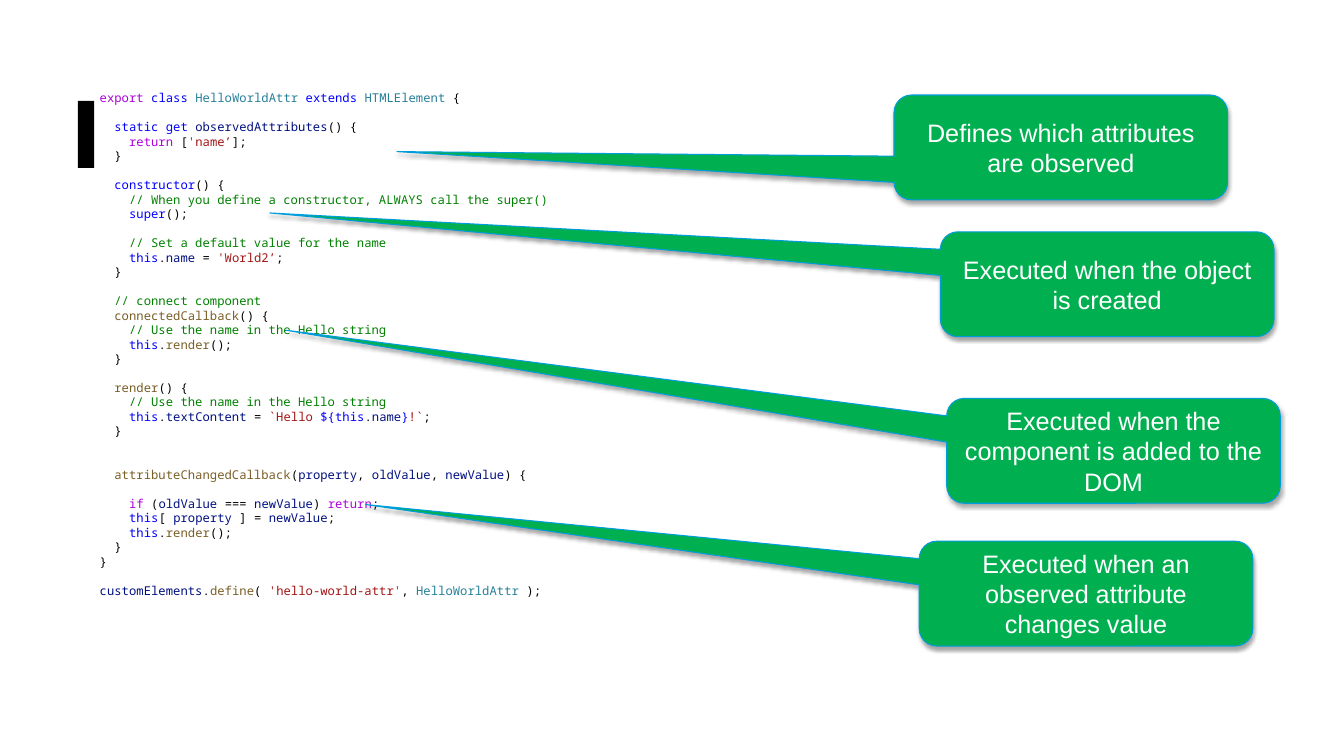
"""Builds a slide that annotates a custom element's code with four callouts."""
from lxml.etree import SubElement
from pptx import Presentation
from pptx.dml.color import RGBColor
from pptx.enum.shapes import MSO_SHAPE
from pptx.enum.text import MSO_ANCHOR, MSO_AUTO_SIZE, PP_ALIGN
from pptx.oxml.ns import qn
from pptx.util import Pt

THEME = {
    "code_font": "Noto Sans Mono", "code_size": 8.7, "code_line": 10.36,
    "callout_font": "Arial", "callout_size": 18,
    "accent": "000000", "callout_fill": "00B050", "callout_line": "009DDC",
    "callout_text": "FFFFFF", "shadow": "000000",
    "syntax": {
        "K": "000000",
        "P": "AF00DB",
        "B": "0000FF",
        "T": "267F99",
        "V": "001080",
        "S": "A31515",
        "C": "008000",
        "F": "795E26",
    },
}

CODE = [
    (0, "Pexport ¦Bclass ¦THelloWorldAttr ¦Bextends ¦THTMLElement¦K {"),
    (1, "B  static get ¦VobservedAttributes¦K() {"),
    (0, "P    return¦K [¦S'name’¦K];"),
    (0, "K  }"),
    (1, "B  constructor¦K() {"),
    (0, "C    // When you define a constructor, ALWAYS call the super()"),
    (0, "B    super¦K();"),
    (1, "C    // Set a default value for the name"),
    (0, "B    this¦K.¦Vname¦K = ¦S'World2’¦K;"),
    (0, "K  }"),
    (1, "C  // connect component"),
    (0, "F  connectedCallback¦K() {"),
    (0, "C    // Use the name in the Hello string"),
    (0, "B    this¦K.¦Frender¦K();"),
    (0, "K  }"),
    (1, "F  render¦K() {"),
    (0, "C    // Use the name in the Hello string"),
    (0, "B    this¦K.¦VtextContent¦K = ¦S`Hello ¦B${this¦K.¦Vname¦B}¦S!`¦K;"),
    (0, "K  }"),
    (2, "F  attributeChangedCallback¦K(¦Vproperty¦K, ¦VoldValue¦K, ¦VnewValue¦K) {"),
    (1, "P    if¦K (¦VoldValue¦K === ¦VnewValue¦K) ¦Preturn¦K;"),
    (0, "B    this¦K[ ¦Vproperty¦K ] = ¦VnewValue¦K;"),
    (0, "B    this¦K.¦Frender¦K();"),
    (0, "K  }"),
    (0, "K}"),
    (1, "VcustomElements¦K.¦Fdefine¦K( ¦S'hello-world-attr'¦K, ¦THelloWorldAttr¦K );"),
]

CALLOUTS = [
    (638.6, 67.9, -1.99, 0.04, "Defines which attributes are observed"),
    (671.7, 165.6, -2.51, -0.68, "Executed when the object is created"),
    (676.2, 284.6, -2.48, -1.15, "Executed when the component is added to the DOM"),
    (656.6, 386.6, -2.16, -0.85, "Executed when an observed attribute changes value"),
]


def style(font, name, size, color):
    font.name = name
    font.size = Pt(size)
    font.color.rgb = RGBColor.from_string(color)


def add_soft_shadow(shape):
    shape.shadow.inherit = False
    effects = shape.element.spPr.find(qn("a:effectLst"))
    shadow = SubElement(effects, qn("a:outerShdw"), blurRad=str(Pt(3.1)),
                        dist=str(Pt(1.8)), dir="5400000", rotWithShape="0")
    color = SubElement(shadow, qn("a:srgbClr"), val=THEME["shadow"])
    SubElement(color, qn("a:alpha"), val="35000")


presentation = Presentation()
presentation.slide_width, presentation.slide_height = Pt(960), Pt(540)
slide = presentation.slides.add_slide(presentation.slide_layouts[1])
unused_title = slide.shapes.title.element
unused_title.getparent().remove(unused_title)

accent_bar = slide.shapes.add_shape(MSO_SHAPE.RECTANGLE, Pt(55.7), Pt(72), Pt(11.5), Pt(48))
accent_bar.shadow.inherit = False
accent_bar.fill.solid()
accent_bar.fill.fore_color.rgb = RGBColor.from_string(THEME["accent"])
accent_bar.line.fill.background()

listing = slide.placeholders[1]
listing.left, listing.top, listing.width, listing.height = Pt(64), Pt(61.2), Pt(794), Pt(402)
code_frame = listing.text_frame
code_frame.auto_size = MSO_AUTO_SIZE.NONE
code_frame.vertical_anchor = MSO_ANCHOR.TOP

for row, (blank_lines, tokens) in enumerate(CODE):
    code_line = code_frame.add_paragraph() if row else code_frame.paragraphs[0]
    code_line.line_spacing = Pt(THEME["code_line"])
    code_line.space_before = Pt(blank_lines * THEME["code_line"])
    code_line.space_after = Pt(0)
    properties = code_line._p.get_or_add_pPr()
    properties.set("marL", "0")
    properties.set("indent", "0")
    SubElement(properties, qn("a:buNone"))
    for token in tokens.split("¦"):
        piece = code_line.add_run()
        piece.text = token[1:]
        style(piece.font, THEME["code_font"], THEME["code_size"], THEME["syntax"][token[0]])

for left, top, tip_x, tip_y, explanation in CALLOUTS:
    callout = slide.shapes.add_shape(
        MSO_SHAPE.ROUNDED_RECTANGULAR_CALLOUT, Pt(left), Pt(top), Pt(238.3), Pt(74.9))
    callout.adjustments[0], callout.adjustments[1] = tip_x, tip_y
    callout.fill.solid()
    callout.fill.fore_color.rgb = RGBColor.from_string(THEME["callout_fill"])
    callout.line.color.rgb = RGBColor.from_string(THEME["callout_line"])
    callout.line.width = Pt(0.75)
    add_soft_shadow(callout)
    callout.text_frame.text = explanation
    callout.text_frame.word_wrap = True
    callout.text_frame.vertical_anchor = MSO_ANCHOR.MIDDLE
    message = callout.text_frame.paragraphs[0]
    message.alignment = PP_ALIGN.CENTER
    style(message.runs[0].font, THEME["callout_font"], THEME["callout_size"], THEME["callout_text"])

presentation.save("out.pptx")
